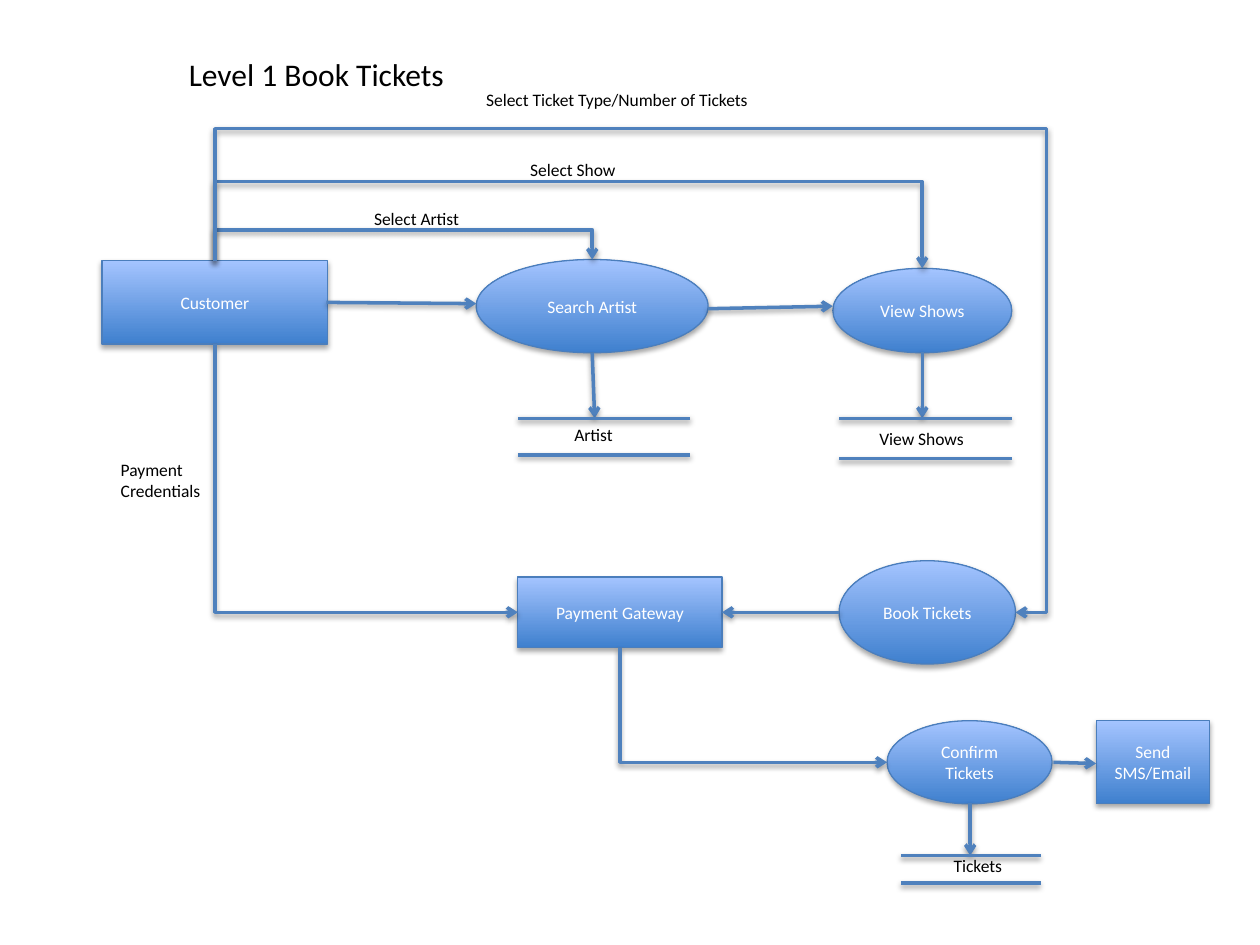
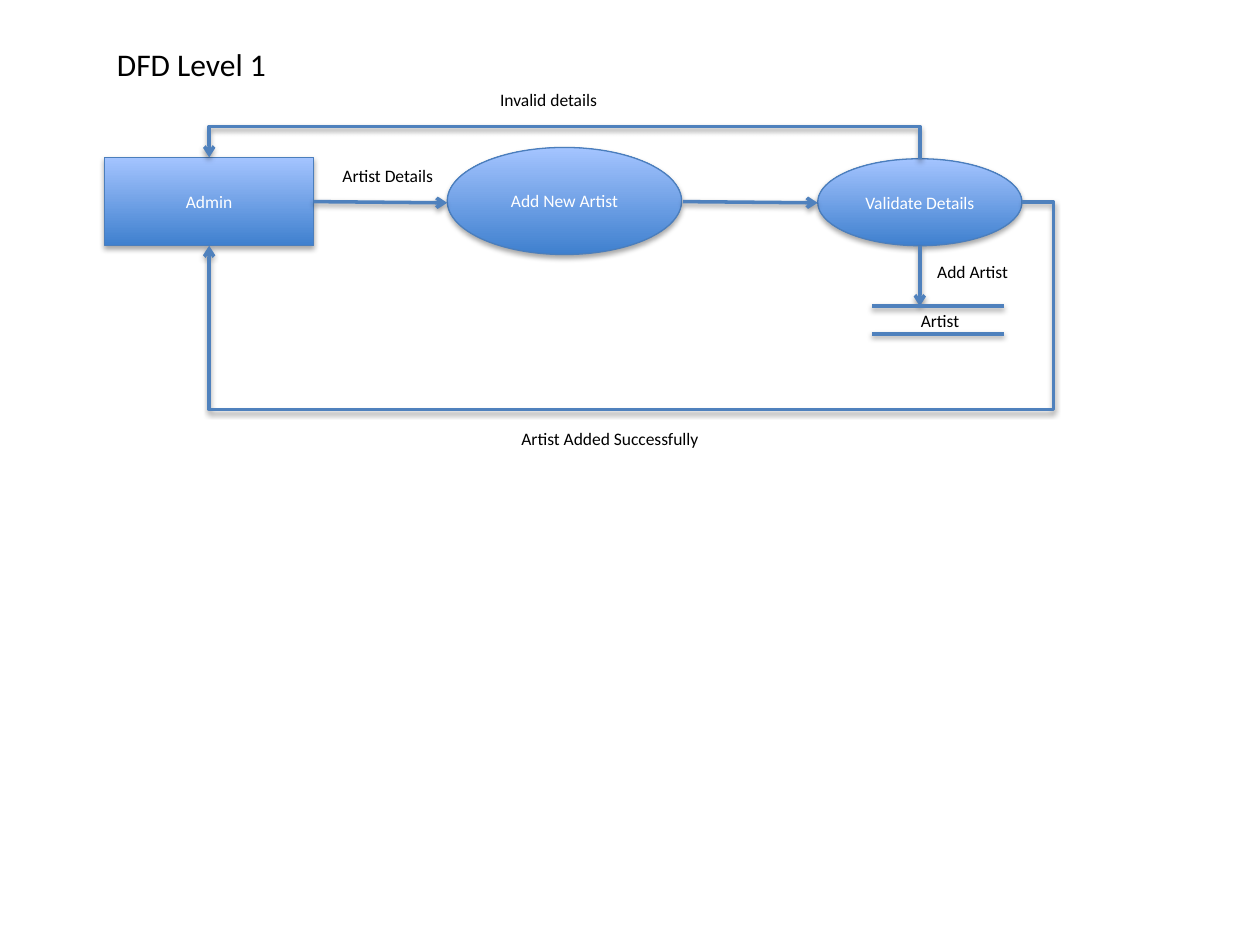
from lxml import etree
from pptx import Presentation
from pptx.dml.color import RGBColor
from pptx.enum.shapes import MSO_CONNECTOR as Link, MSO_SHAPE as Kind
from pptx.enum.text import MSO_ANCHOR as Anchor, MSO_AUTO_SIZE as Auto, PP_ALIGN as Align
from pptx.oxml.ns import qn
from pptx.util import Inches, Pt

DEEP = RGBColor(0x3F, 0x80, 0xCE)
PALE = RGBColor(0xA4, 0xC4, 0xFF)
EDGE = RGBColor(0x4B, 0x7E, 0xBC)
WIRE = RGBColor(0x4F, 0x81, 0xBD)
WHITE = RGBColor(0xFF, 0xFF, 0xFF)
BLACK = RGBColor(0, 0, 0)
FONT = "Calibri"
BODY, TITLE = 10, 18
RECT, OVAL = Kind.RECTANGLE, Kind.OVAL
SIDES = "tlbr"  # order of the connection sites

# nodes: name -> kind, left, top, width, height
# stores: left, right, upper line, lower line
# arrows: from x, y, to x, y
# bends: node, side, node, side, turns (first along the starting direction)
# labels: text, left, top, width, height
BOOK = {
    "title": ("Level 1 Book Tickets", 1.4, 0.39, 2.26, 0.4),
    "nodes": {
        "Customer": (RECT, 0.81, 2.07, 1.79, 0.66),
        "Search Artist": (OVAL, 3.78, 2.06, 1.84, 0.74),
        "View Shows": (OVAL, 6.61, 2.13, 1.42, 0.67),
        "Book Tickets": (OVAL, 6.66, 4.45, 1.4, 0.82),
        "Payment Gateway": (RECT, 4.11, 4.58, 1.62, 0.56),
        "Confirm Tickets": (OVAL, 7.04, 5.72, 1.31, 0.66),
        "Send SMS/Email": (RECT, 8.7, 5.72, 0.9, 0.66),
    },
    "stores": [
        (4.11, 5.48, 3.32, 3.61),
        (6.66, 8.03, 3.32, 3.64),
        (7.15, 8.26, 6.79, 7.01),
    ],
    "arrows": [
        (2.59, 2.4, 3.78, 2.41),
        (4.7, 2.8, 4.72, 3.32),
        (5.62, 2.45, 6.61, 2.43),
        (7.32, 2.79, 7.32, 3.32),
        (6.66, 4.86, 5.73, 4.86),
        (7.7, 6.37, 7.7, 6.79),
        (8.36, 6.05, 8.7, 6.06),
    ],
    "bends": [
        ("Customer", "t", "Search Artist", "t", [1.82]),
        ("Customer", "t", "View Shows", "t", [1.44]),
        ("Customer", "t", "Book Tickets", "r", [1.02, 8.31]),
        ("Customer", "b", "Payment Gateway", "l", []),
        ("Payment Gateway", "b", "Confirm Tickets", "l", []),
    ],
    "labels": [
        ("Artist", 4.46, 3.32, 0.51, 0.27),
        ("Select Artist", 2.87, 1.6, 0.89, 0.27),
        ("View Shows", 6.88, 3.35, 0.88, 0.27),
        ("Select Show", 4.11, 1.21, 0.9, 0.27),
        ("Select Ticket Type/Number of Tickets", 3.76, 0.66, 2.32, 0.27),
        ("Payment\nCredentials", 0.86, 3.59, 0.85, 0.44),
        ("Tickets", 7.47, 6.74, 0.6, 0.27),
    ],
}
ADMIN = {
    "title": ("DFD Level 1", 0.83, 0.31, 1.4, 0.4),
    "nodes": {
        "Admin": (RECT, 0.83, 1.25, 1.66, 0.7),
        "Add New Artist": (OVAL, 3.55, 1.17, 1.86, 0.85),
        "Validate Details": (OVAL, 6.49, 1.26, 1.62, 0.69),
    },
    "stores": [(6.92, 7.97, 2.43, 2.65)],
    "arrows": [
        (2.49, 1.6, 3.55, 1.61),
        (5.42, 1.6, 6.49, 1.61),
        (7.3, 1.95, 7.3, 2.43),
    ],
    "bends": [
        ("Validate Details", "t", "Admin", "t", [1.0]),
        ("Validate Details", "r", "Admin", "b", [8.36, 3.25]),
    ],
    "labels": [
        ("Artist Details", 2.62, 1.26, 0.93, 0.27),
        ("Invalid details", 3.87, 0.66, 0.99, 0.27),
        ("Artist", 7.21, 2.41, 0.51, 0.27),
        ("Add Artist", 7.34, 2.02, 0.77, 0.27),
        ("Artist Added Successfully", 4.04, 3.35, 1.63, 0.27),
    ],
}


def add_sub(parent, tag, **attrs):
    return etree.SubElement(parent, qn(tag), {k: str(v) for k, v in attrs.items()})


def add_shade(props, dist, alpha):
    """Drop a soft black shadow straight down."""
    fx = props.find(qn("a:effectLst"))
    if fx is None:
        fx = add_sub(props, "a:effectLst")
    shade = add_sub(fx, "a:outerShdw", blurRad=Pt(3.1), dist=Pt(dist),
                    dir=5400000, rotWithShape=0)
    add_sub(add_sub(shade, "a:srgbClr", val="000000"), "a:alpha", val=alpha * 1000)


def add_text(frame, text, size, color, align):
    for i, line in enumerate(text.split("\n")):
        para = frame.add_paragraph() if i else frame.paragraphs[0]
        para.alignment = align
        run = para.add_run()
        run.text = line
        run.font.name, run.font.size = FONT, Pt(size)
        run.font.color.rgb = color


def add_label(slide, text, x, y, w, h, size=BODY):
    frame = slide.shapes.add_textbox(*map(Inches, (x, y, w, h))).text_frame
    frame.word_wrap = False
    frame.auto_size = Auto.SHAPE_TO_FIT_TEXT
    add_text(frame, text, size, BLACK, Align.LEFT)


def add_node(slide, name, kind, *box):
    node = slide.shapes.add_shape(kind, *map(Inches, box))
    node.fill.gradient()
    node.fill.gradient_angle = 90
    for stop, color, place in zip(node.fill.gradient_stops, (DEEP, PALE), (0, 1)):
        stop.color.rgb, stop.position = color, place
    node.line.color.rgb, node.line.width = EDGE, Pt(0.75)
    node.shadow.inherit = False
    add_shade(node._element.spPr, 1.8, 35)
    node.text_frame.word_wrap = True
    node.text_frame.vertical_anchor = Anchor.MIDDLE
    add_text(node.text_frame, name, BODY, WHITE, Align.CENTER)
    return node


def add_line(slide, start, end, head=True, kind=Link.STRAIGHT):
    line = slide.shapes.add_connector(kind, *map(Inches, (*start, *end)))
    line.line.color.rgb, line.line.width = WIRE, Pt(2)
    if head:
        add_sub(line.line._get_or_add_ln(), "a:tailEnd", type="arrow")
    add_shade(line._element.spPr, 1.6, 38)
    return line


def find_site(box, side):
    x, y, w, h = box
    return {"t": (x + w / 2, y), "l": (x, y + h / 2),
            "b": (x + w / 2, y + h), "r": (x + w, y + h / 2)}[side]


def add_bend(slide, nodes, made, src, out, dst, into, turns):
    start = find_site(nodes[src][1:], out)
    end = find_site(nodes[dst][1:], into)
    line = add_line(slide, start, end, kind=Link.ELBOW)
    props = line._element.spPr

    # A path that leaves vertically is a horizontal one turned by 270 degrees
    axis = 1 if out in "tb" else 0
    if axis:
        dx, dy = end[0] - start[0], end[1] - start[1]
        wide, high = abs(dy), abs(dx)
        line.left = Inches((start[0] + end[0] - wide) / 2)
        line.top = Inches((start[1] + end[1] - high) / 2)
        line.width, line.height = Inches(wide), Inches(high)
        form = props.find(qn("a:xfrm"))
        form.set("rot", str(270 * 60000))
        form.set("flipH", str(int(dy > 0)))
        form.set("flipV", str(int(dx < 0)))

    # Each turn is a share of the distance along its axis
    geom = props.find(qn("a:prstGeom"))
    geom.set("prst", f"bentConnector{len(turns) + 2}")
    marks = geom.find(qn("a:avLst"))
    if marks is None:
        marks = add_sub(geom, "a:avLst")
    for i, turn in enumerate(turns):
        way = (axis + i) % 2
        share = (turn - start[way]) / (end[way] - start[way])
        add_sub(marks, "a:gd", name=f"adj{i + 1}", fmla=f"val {round(share * 100000)}")

    # Glue both ends; an oval has a site between each two sides
    glue = line._element.nvCxnSpPr.cNvCxnSpPr
    for tag, name, side in (("a:stCxn", src, out), ("a:endCxn", dst, into)):
        step = 2 if nodes[name][0] == OVAL else 1
        add_sub(glue, tag, id=made[name].shape_id, idx=SIDES.index(side) * step)


def add_chart_slide(deck, data):
    slide = deck.slides.add_slide(deck.slide_layouts[6])
    nodes = data["nodes"]
    made = {name: add_node(slide, name, *spec) for name, spec in nodes.items()}
    for x1, y1, x2, y2 in data["arrows"]:
        add_line(slide, (x1, y1), (x2, y2))
    for left, right, *rows in data["stores"]:
        for y in rows:
            add_line(slide, (left, y), (right, y), head=False)
    for bend in data["bends"]:
        add_bend(slide, nodes, made, *bend)
    for label in data["labels"]:
        add_label(slide, *label)
    add_label(slide, *data["title"], size=TITLE)


def main():
    deck = Presentation()
    deck.slide_width, deck.slide_height = Inches(10), Inches(7.5)
    for data in (BOOK, ADMIN):
        add_chart_slide(deck, data)
    deck.save("out.pptx")


if __name__ == "__main__":
    main()
